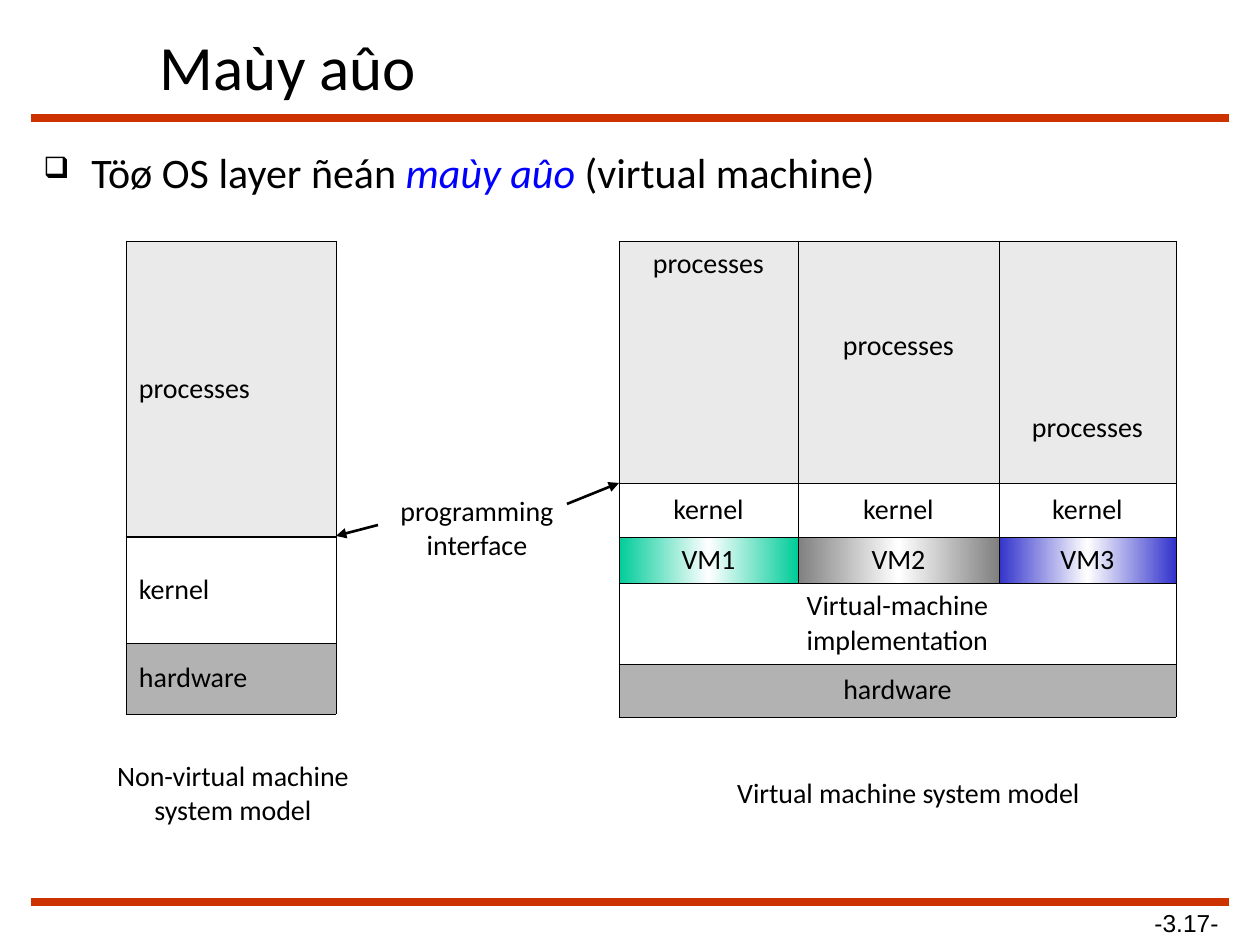
import copy
import pptx
import pptx.util
import pptx.dml.color
import pptx.enum.shapes
import pptx.enum.text
import pptx.oxml
import pptx.oxml.ns

PX = 914400 // 126
HEX = {"black": "000000", "white": "FFFFFF", "rule": "CC3300", "blue": "0000FF",
       "light": "EAEAEA", "gray": "B2B2B2",
       "VM1": "00CC99", "VM2": "808080", "VM3": "3333CC"}
RGB = {name: pptx.dml.color.RGBColor.from_string(code) for name, code in HEX.items()}
ALIGN = pptx.enum.text.PP_ALIGN
ANCHOR = pptx.enum.text.MSO_ANCHOR
qn = pptx.oxml.ns.qn
NS = pptx.oxml.ns.nsdecls("a")

deck = pptx.Presentation()
deck.slide_width = 1260 * PX
deck.slide_height = 945 * PX
slide = deck.slides.add_slide(deck.slide_layouts[6])


def put(frame, text, size, align, font="Calibri"):
    """Fill a text frame and format its runs and line breaks alike."""
    frame.text = text
    for par in frame.paragraphs:
        par.alignment = align
        for run in par.runs:
            run.font.size = pptx.util.Pt(size)
            run.font.name = font
            run.font.color.rgb = RGB["black"]
        for gap in par._p.findall(qn("a:br")):
            gap.append(copy.deepcopy(par.runs[0]._r.rPr))


def draw(x1, y1, x2, y2, color, width, arrow=False):
    line = slide.shapes.add_connector(pptx.enum.shapes.MSO_CONNECTOR.STRAIGHT,
                                      x1 * PX, y1 * PX, x2 * PX, y2 * PX)
    line.line.color.rgb = RGB[color]
    line.line.width = pptx.util.Pt(width)
    if arrow:
        line.line._get_or_add_ln().append(
            pptx.oxml.parse_xml(f'<a:tailEnd {NS} type="triangle"/>'))
    line._element.spPr.append(pptx.oxml.parse_xml(f"<a:effectLst {NS}/>"))


# Rules above and below the content
for y in (118, 902):
    draw(31, y, 1229, y, "rule", 4.5)

# Text boxes: place, text, size, alignment, anchor, side and top insets, wrap, font
labels = [
    ((1134, 908, 105, 59), "-3.17-", 14, ALIGN.CENTER, ANCHOR.TOP, 0, 0, True, "Arial"),
    ((147, 10, 1081, 110), "Maùy aûo", 36, ALIGN.LEFT, ANCHOR.MIDDLE, 13, 6, True, "Calibri"),
    ((87, 752, 292, 81), "Non-virtual machine\vsystem model", 16, ALIGN.CENTER,
     ANCHOR.MIDDLE, 13, 6, False, "Calibri"),
    ((698, 769, 421, 47), "Virtual machine system model", 16, ALIGN.CENTER,
     ANCHOR.MIDDLE, 13, 6, False, "Calibri"),
    ((385, 494, 184, 67), "programming\ninterface", 16, ALIGN.CENTER,
     ANCHOR.TOP, 0, 0, False, "Calibri"),
]
for place, text, size, align, anchor, side, top, wrap, font in labels:
    frame = slide.shapes.add_textbox(*(n * PX for n in place)).text_frame
    frame.word_wrap = wrap
    frame.vertical_anchor = anchor
    frame.margin_left = frame.margin_right = side * PX
    frame.margin_top = frame.margin_bottom = top * PX
    put(frame, text, size, align, font)

# Bullet line
body = slide.shapes.add_textbox(31 * PX, 140 * PX, 1197 * PX, 747 * PX).text_frame
body.word_wrap = True
par = body.paragraphs[0]
props = par._p.get_or_add_pPr()
props.set("marL", str(48 * PX))
props.set("indent", str(-48 * PX))
for tag in (f'<a:buClr {NS}><a:srgbClr val="{HEX["black"]}"/></a:buClr>',
            f'<a:buSzPct {NS} val="70000"/>',
            f'<a:buChar {NS} char="❑"/>'):
    props.append(pptx.oxml.parse_xml(tag))
for text, color, slant in (("Töø OS layer ñeán ", "black", False),
                           ("maùy aûo", "blue", True),
                           (" (virtual machine)", "black", False)):
    run = par.add_run()
    run.text = text
    run.font.size = pptx.util.Pt(24)
    run.font.name = "Calibri"
    run.font.italic = slant
    run.font.color.rgb = RGB[color]

# Layer tables: left edge, columns, row heights, texts, alignment
top = 241
models = [
    (126, [210], [296, 106, 71],
     [["processes"], ["kernel"], ["hardware"]], ALIGN.LEFT),
    (619, [179, 201, 177], [242, 54, 46, 81, 53],
     [["processes"] * 3, ["kernel"] * 3, ["VM1", "VM2", "VM3"],
      ["Virtual-machine\vimplementation"], ["hardware"]], ALIGN.CENTER),
]
fills = {"processes": "light", "hardware": "gray"}
for left, cols, rows, layers, align in models:
    table = slide.shapes.add_table(len(rows), len(cols), left * PX, top * PX,
                                   sum(cols) * PX, sum(rows) * PX).table
    table.first_row = table.horz_banding = False
    for col, width in zip(table.columns, cols):
        col.width = width * PX
    for i, (height, texts) in enumerate(zip(rows, layers)):
        table.rows[i].height = height * PX
        if len(texts) < len(cols):
            table.cell(i, 0).merge(table.cell(i, len(cols) - 1))
        for j in range(len(cols)):
            cell = table.cell(i, j)
            text = texts[j] if j < len(texts) else ""
            cell.margin_left = cell.margin_right = 13 * PX
            cell.margin_top = cell.margin_bottom = 6 * PX
            cell.vertical_anchor = ANCHOR.MIDDLE
            if text == "processes" and len(cols) > 1:
                # Each machine's label stands one step lower than the last
                cell.vertical_anchor = ANCHOR.TOP
                cell.margin_top = (6 + 82 * j) * PX
            if text:
                put(cell.text_frame, text, 16, align)

            edges = cell._tc.get_or_add_tcPr()
            if text in HEX:
                cell.fill.gradient()
                cell.fill.gradient_angle = 0
                stops = edges.find(".//" + qn("a:gsLst"))
                stops.append(copy.deepcopy(stops[0]))
                for k, stop in enumerate(cell.fill.gradient_stops):
                    stop.position = k / 2
                    stop.color.rgb = RGB["white" if k == 1 else text]
            elif texts[0] in fills:
                cell.fill.solid()
                cell.fill.fore_color.rgb = RGB[fills[texts[0]]]
            else:
                cell.fill.background()

            for k, side in enumerate("LRTB"):
                thick = len(cols) == 1 and (i, side) in ((0, "B"), (1, "T"))
                width = pptx.util.Pt(1.08 if thick else 0.45)
                edges.insert(k, pptx.oxml.parse_xml(
                    f'<a:ln{side} {NS} w="{width}"><a:solidFill>'
                    f'<a:srgbClr val="{HEX["black"]}"/></a:solidFill></a:ln{side}>'))

# Arrows from the interface label to both models
draw(567, 504, 619, 483, "black", 1.5, True)
draw(378, 525, 336, 536, "black", 1.5, True)

deck.save("out.pptx")
